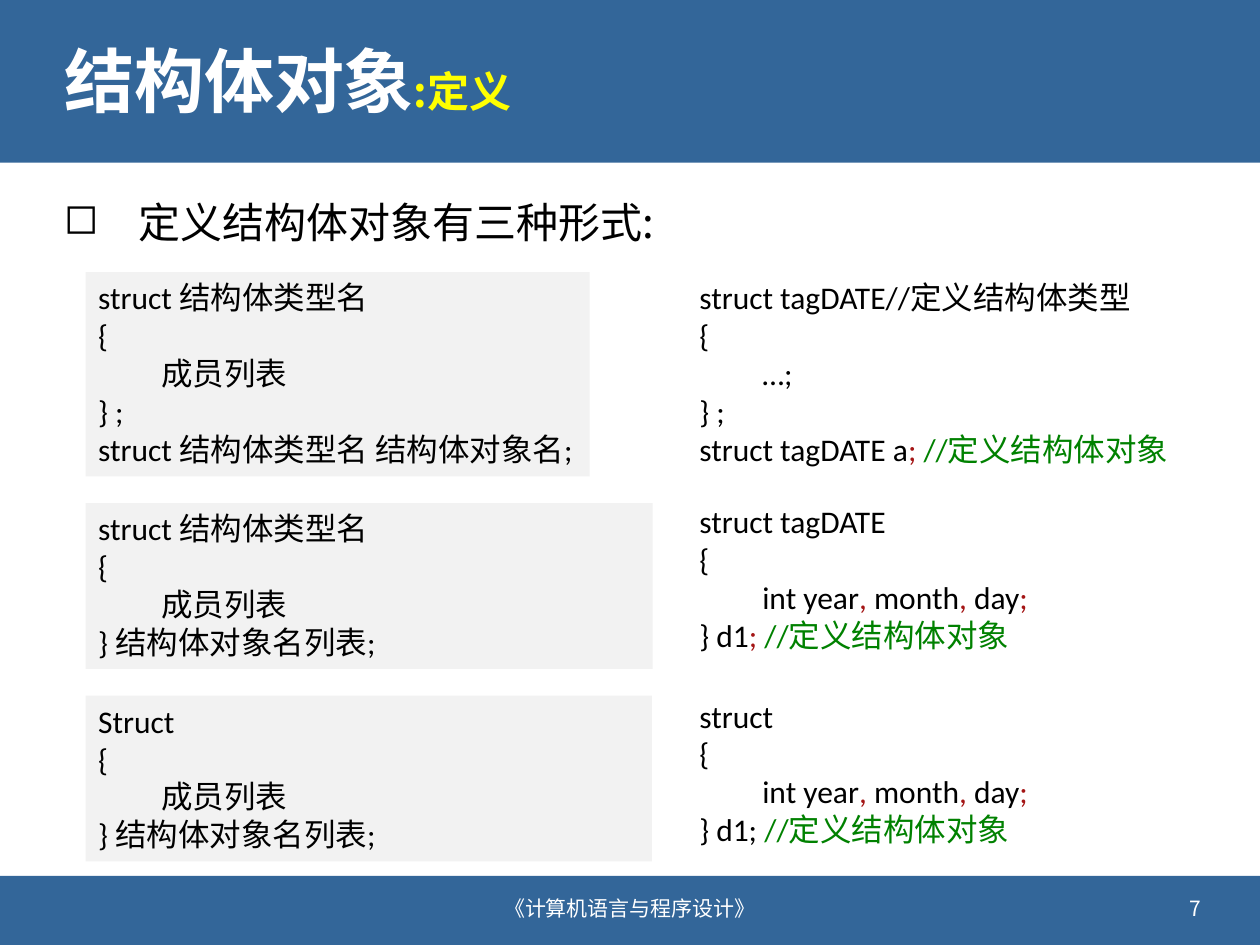
import pptx
import pptx.util
import pptx.dml.color
import pptx.enum.shapes
import pptx.enum.text
import pptx.oxml.ns
from dataclasses import dataclass
from lxml import etree

Pt = pptx.util.Pt
ALIGN = pptx.enum.text.PP_ALIGN
ANCHOR = pptx.enum.text.MSO_ANCHOR


@dataclass(frozen=True)
class Theme:
    blue: str = "336699"
    grey: str = "F2F2F2"
    white: str = "FFFFFF"
    black: str = "000000"
    yellow: str = "FFFF00"
    red: str = "A41515"
    green: str = "008100"
    cjk: str = "Noto Sans CJK SC"
    code: str = "Calibri"
    title_size: int = 40
    lead_size: int = 24
    code_size: int = 18
    foot_size: int = 12


THEME = Theme()

# Code listings: each line is a list of (text, colour) spans
MEMBER_LINE = 2
COMMENT = ("//定义结构体对象", THEME.green)


def plain(*lines):
    return [[(line, THEME.black)] for line in lines]


def members(end):
    return [("int year", THEME.black), (", ", THEME.red), ("month", THEME.black),
            (", ", THEME.red), ("day", THEME.black), (end, THEME.red)]


LIST_FORM = plain("{", "成员列表", "} 结构体对象名列表;")
SYNTAX_FORMS = [
    # top, width, wrap, lines
    (155.5, 288, False, plain("struct 结构体类型名", "{", "成员列表", "} ;",
                              "struct 结构体类型名 结构体对象名;")),
    (287.5, 324, True, plain("struct 结构体类型名") + LIST_FORM),
    (397.5, 323.5, True, plain("Struct") + LIST_FORM),
]
EXAMPLES = [
    # top, lines
    (155.5, plain("struct tagDATE//定义结构体类型", "{", "…;", "} ;")
     + [[("struct tagDATE a", THEME.black), ("; ", THEME.red), COMMENT]]),
    (283.5, plain("struct tagDATE", "{ ")
     + [members("; "), [("} d1", THEME.black), ("; ", THEME.red), COMMENT]]),
    (394.5, plain("struct", "{")
     + [members(";"), [("} d1; ", THEME.black), COMMENT]]),
]


def colour(value):
    return pptx.dml.color.RGBColor.from_string(value)


def add_span(para, text, size, fill, font=THEME.cjk, bold=False):
    span = para.add_run()
    span.text = text
    span.font.size = Pt(size)
    span.font.bold = bold
    span.font.name = font
    span.font.color.rgb = colour(fill)
    east_asian = etree.SubElement(span.font._element, pptx.oxml.ns.qn("a:ea"))
    east_asian.set("typeface", THEME.cjk)


def set_indent(para, left, first=0):
    properties = para._p.get_or_add_pPr()
    properties.set("marL", str(Pt(left)))
    properties.set("indent", str(Pt(first)))
    return properties


def add_bullet(para, char):
    properties = set_indent(para, 42.5, -42.5)
    bullet_colour = etree.SubElement(properties, pptx.oxml.ns.qn("a:buClr"))
    etree.SubElement(bullet_colour, pptx.oxml.ns.qn("a:srgbClr")).set("val", THEME.black)
    etree.SubElement(properties, pptx.oxml.ns.qn("a:buChar")).set("char", char)


def add_rect(page, left, top, width, height, fill):
    box = page.shapes.add_shape(pptx.enum.shapes.MSO_SHAPE.RECTANGLE,
                                Pt(left), Pt(top), Pt(width), Pt(height))
    box.shadow.inherit = False
    box.fill.solid()
    box.fill.fore_color.rgb = colour(fill)
    box.line.fill.background()
    return box


def add_text_box(page, left, top, width, height):
    box = page.shapes.add_textbox(Pt(left), Pt(top), Pt(width), Pt(height))
    box.text_frame.word_wrap = True
    return box


def write_code(box, lines, wrap=True):
    frame = box.text_frame
    frame.word_wrap = wrap
    frame.auto_size = pptx.enum.text.MSO_AUTO_SIZE.SHAPE_TO_FIT_TEXT
    frame.vertical_anchor = ANCHOR.TOP
    for index, line in enumerate(lines):
        para = frame.add_paragraph() if index else frame.paragraphs[0]
        para.alignment = ALIGN.LEFT
        if index == MEMBER_LINE:
            para.level = 1
            set_indent(para, 36)
        for text, fill in line:
            add_span(para, text, THEME.code_size, fill, font=THEME.code)


def code_height(lines):
    return 7.2 + 21.9 * len(lines)


def add_title(page):
    title = page.shapes.title
    title.left, title.top, title.width, title.height = Pt(29.5), Pt(13), Pt(661.5), Pt(71)
    title.text_frame.vertical_anchor = ANCHOR.MIDDLE
    para = title.text_frame.paragraphs[0]
    para.alignment = ALIGN.LEFT
    para.line_spacing = 0.9
    add_span(para, "结构体对象", THEME.title_size, THEME.white, bold=True)
    add_span(para, ":定义".replace(":", ":"), THEME.lead_size, THEME.yellow, bold=True)


def add_lead(page):
    box = add_text_box(page, 29.5, 106, 661.5, 45)
    para = box.text_frame.paragraphs[0]
    para.line_spacing = 1.1
    para.space_before = Pt(10)
    add_bullet(para, "◻")
    add_span(para, "定义结构体对象有三种形式:", THEME.lead_size, THEME.black)


def add_footer(page, text, left, width, alignment):
    box = add_text_box(page, left, 504.5, width, 29)
    box.text_frame.vertical_anchor = ANCHOR.MIDDLE
    para = box.text_frame.paragraphs[0]
    para.alignment = alignment
    add_span(para, text, THEME.foot_size, THEME.white)


def main():
    deck = pptx.Presentation()
    deck.slide_width, deck.slide_height = Pt(720), Pt(540)
    page = deck.slides.add_slide(deck.slide_layouts[5])

    # Bands lie behind the title
    for top, height in ((0, 93), (500.5, 39.5)):
        band = add_rect(page, 0, top, 720, height, THEME.blue)
        page.shapes.title.element.addprevious(band.element)

    # Title, lead line and footer
    add_title(page)
    add_lead(page)
    add_footer(page, "《计算机语言与程序设计》", 230.5, 259, ALIGN.CENTER)
    add_footer(page, "7", 520.5, 173, ALIGN.RIGHT)

    # Syntax on the left, examples on the right
    for top, width, wrap, lines in SYNTAX_FORMS:
        box = add_rect(page, 49, top, width, code_height(lines), THEME.grey)
        write_code(box, lines, wrap)
    for top, lines in EXAMPLES:
        write_code(add_text_box(page, 392.5, top, 300, code_height(lines)), lines)

    deck.save("out.pptx")


main()
